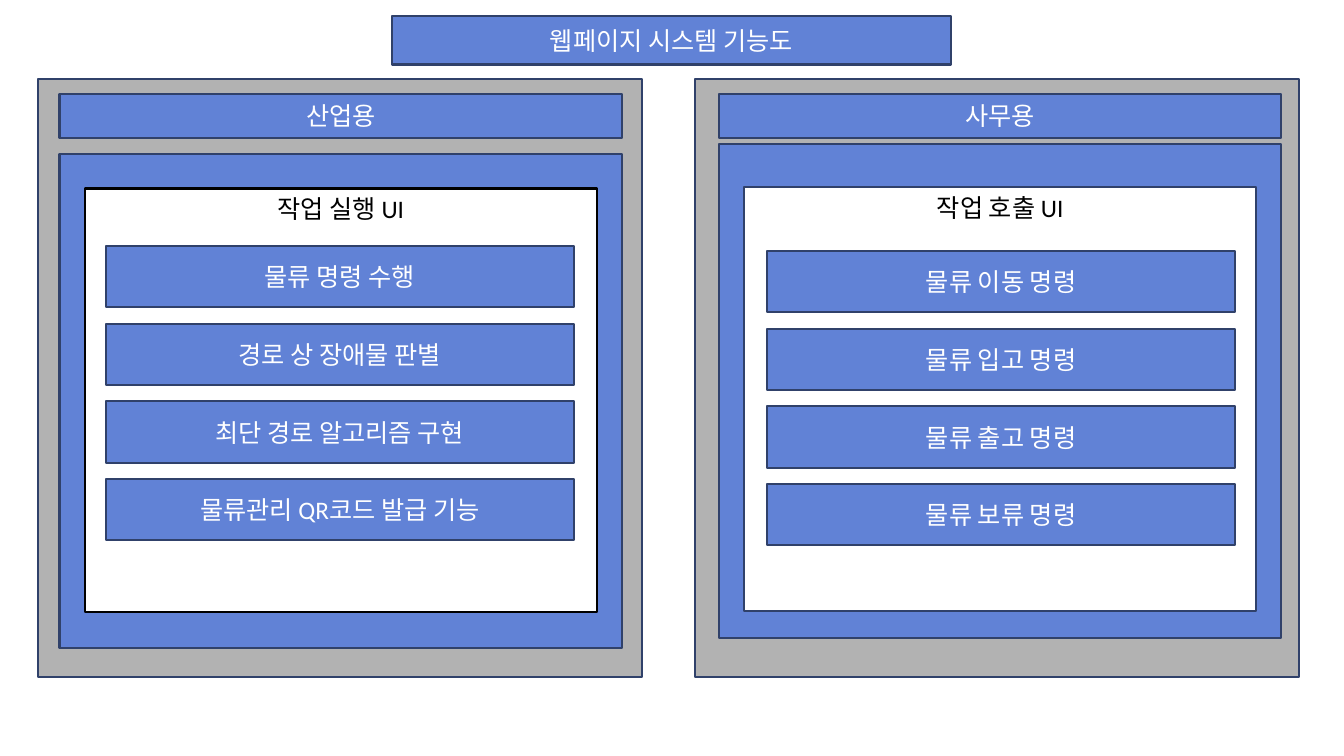
"""Builds the function diagram of a web page system with two panels."""
from dataclasses import dataclass

from pptx import Presentation
from pptx.dml.color import RGBColor
from pptx.enum import text
from pptx.util import Inches, Pt

BLUE = RGBColor(0x61, 0x82, 0xD6)
NAVY = RGBColor(0x30, 0x41, 0x6A)
GRAY = RGBColor(0xB2, 0xB2, 0xB2)
WHITE = RGBColor(0xFF, 0xFF, 0xFF)
BLACK = RGBColor(0x00, 0x00, 0x00)

PANEL_TOP, PANEL_WIDTH, PANEL_HEIGHT = 0.78, 5.99, 5.94
HEADING_TOP, HEADING_HEIGHT = 0.93, 0.44
FRAME_WIDTH, FRAME_HEIGHT = 5.58, 4.9
SCREEN_INSET, SCREEN_WIDTH, SCREEN_HEIGHT = 0.25, 5.08, 4.2
FUNCTION_WIDTH, FUNCTION_HEIGHT, FUNCTION_PITCH = 4.64, 0.61, 0.77


@dataclass
class Panel:
    """Wording and placement of one panel."""
    heading: str
    screen: str
    functions: list
    left: float
    frame_left: float
    frame_top: float
    screen_top: float
    functions_left: float
    functions_top: float
    screen_line: RGBColor


class Diagram:
    """Holds the style and the current slide."""
    font = "Calibri"
    size = Pt(18)
    line_width = Pt(1.5)

    def __init__(self, slide):
        self.slide = slide

    def style(self, shape, box, fill, line, wording="", color=WHITE,
              anchor=text.MSO_ANCHOR.MIDDLE):
        shape.left, shape.top, shape.width, shape.height = map(Inches, box)
        shape.fill.solid()
        shape.fill.fore_color.rgb = fill
        shape.line.color.rgb = line
        shape.line.width = self.line_width
        if wording:
            frame = shape.text_frame
            frame.text = wording
            frame.word_wrap = True
            frame.vertical_anchor = anchor
            paragraph = frame.paragraphs[0]
            paragraph.alignment = text.PP_ALIGN.CENTER
            font = paragraph.runs[0].font
            font.name, font.size, font.color.rgb = self.font, self.size, color

    def title(self, box, wording):
        self.style(self.slide.shapes.title, box, BLUE, NAVY, wording)

    def block(self, box, fill, line=NAVY, wording="", **options):
        shape = self.slide.shapes.add_shape(1, *map(Inches, box))
        shape.shadow.inherit = False
        self.style(shape, box, fill, line, wording, **options)

    def panel(self, panel):
        self.block((panel.left, PANEL_TOP, PANEL_WIDTH, PANEL_HEIGHT), GRAY)
        self.block((panel.frame_left, panel.frame_top, FRAME_WIDTH, FRAME_HEIGHT), BLUE)
        self.block((panel.frame_left, HEADING_TOP, FRAME_WIDTH, HEADING_HEIGHT),
                   BLUE, wording=panel.heading)
        self.block((panel.frame_left + SCREEN_INSET, panel.screen_top,
                    SCREEN_WIDTH, SCREEN_HEIGHT), WHITE, panel.screen_line,
                   panel.screen, color=BLACK, anchor=text.MSO_ANCHOR.TOP)
        for row, function in enumerate(panel.functions):
            top = panel.functions_top + row * FUNCTION_PITCH
            self.block((panel.functions_left, top, FUNCTION_WIDTH, FUNCTION_HEIGHT),
                       BLUE, wording=function)


PANELS = [
    Panel("산업용", "작업 실행 UI",
          ["물류 명령 수행", "경로 상 장애물 판별", "최단 경로 알고리즘 구현",
           "물류관리 QR코드 발급 기능"],
          left=0.38, frame_left=0.59, frame_top=1.53, screen_top=1.87,
          functions_left=1.05, functions_top=2.44, screen_line=BLACK),
    Panel("사무용", "작업 호출 UI",
          ["물류 이동 명령", "물류 입고 명령", "물류 출고 명령", "물류 보류 명령"],
          left=6.89, frame_left=7.13, frame_top=1.43, screen_top=1.86,
          functions_left=7.61, functions_top=2.49, screen_line=NAVY),
]

presentation = Presentation()
presentation.slide_width, presentation.slide_height = Inches(13.33), Inches(7.5)
title_only = presentation.slide_layouts.get_by_name("Title Only")
diagram = Diagram(presentation.slides.add_slide(title_only))
diagram.title((3.89, 0.16, 5.54, 0.48), "웹페이지 시스템 기능도")
for side in PANELS:
    diagram.panel(side)
presentation.save("out.pptx")
